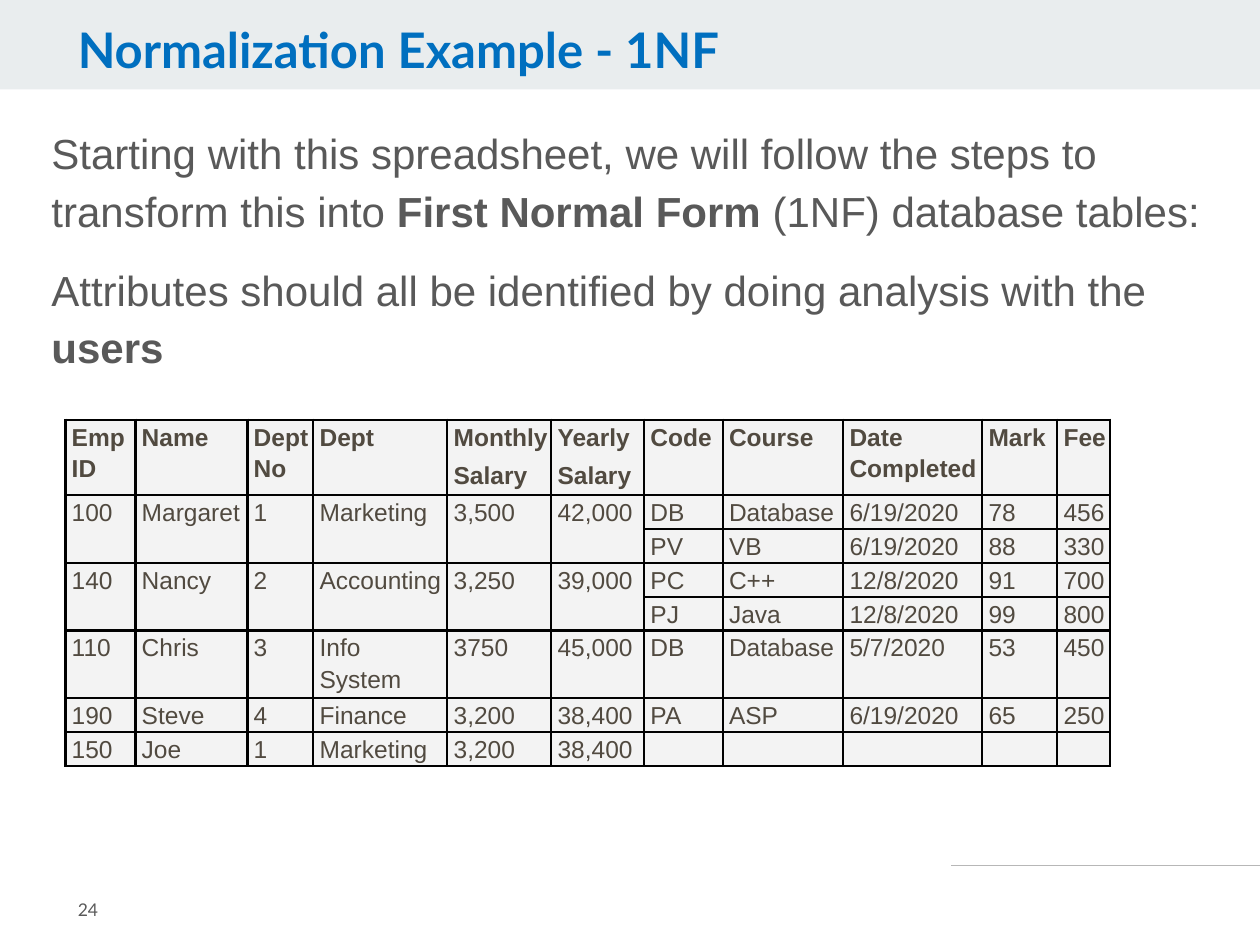
from lxml import etree
from pptx import Presentation, util as u
from pptx.dml.color import RGBColor
from pptx.enum import shapes, text
from pptx.oxml import parse_xml
from pptx.oxml.ns import nsdecls, qn

BLUE = RGBColor(0x00, 0x6F, 0xBF)
GRAY = RGBColor(0x59, 0x59, 0x59)
BROWN = RGBColor(0x51, 0x4A, 0x40)
BAND = RGBColor(0xE9, 0xED, 0xEE)
RULE = RGBColor(0xB7, 0xB7, 0xB7)
CELL = RGBColor(0xF3, 0xF3, 0xF3)

TITLE = {"name": "Lato", "size": u.Pt(28), "bold": True, "color": BLUE}
BODY = {"name": "Arial", "size": u.Pt(24), "bold": False, "color": GRAY}
NUMBER = {"name": "Lato", "size": u.Pt(10), "bold": False, "color": GRAY}
DATA = {"name": "Arial", "size": u.Pt(14), "bold": False, "color": BROWN}
STRONG = {"bold": True}

COLUMN_WIDTHS = [40, 64, 37.7, 76.6, 59.4, 53.1, 44.9, 68.9, 79.4, 42.9, 30]
ROW_HEIGHTS = [43.2, 15.1, 15.1, 15.1, 15.1, 27.4, 15.1, 15.1]
EMPLOYEES = [
    ["Emp ID", "Name", "Dept No", "Dept", "Monthly\nSalary", "Yearly\nSalary",
     "Code", "Course", "Date Completed", "Mark", "Fee"],
    ["100", "Margaret", "1", "Marketing", "3,500", "42,000",
     "DB", "Database", "6/19/2020", "78", "456"],
    [""] * 6 + ["PV", "VB", "6/19/2020", "88", "330"],
    ["140", "Nancy", "2", "Accounting", "3,250", "39,000",
     "PC", "C++", "12/8/2020", "91", "700"],
    [""] * 6 + ["PJ", "Java", "12/8/2020", "99", "800"],
    ["110", "Chris", "3", "Info System", "3750", "45,000",
     "DB", "Database", "5/7/2020", "53", "450"],
    ["190", "Steve", "4", "Finance", "3,200", "38,400",
     "PA", "ASP", "6/19/2020", "65", "250"],
    ["150", "Joe", "1", "Marketing", "3,200", "38,400"] + [""] * 5,
]
MERGED_ROWS = [1, 3]
MERGED_COLUMNS = 6


class SlideBuilder:
    def __init__(self, page):
        self.page = page

    def style(self, font, values):
        for key, value in values.items():
            if key == "color":
                font.color.rgb = value
            else:
                setattr(font, key, value)

    def fill_text(self, frame, paragraphs, values, spacing, gap=0):
        for index, spans in enumerate(paragraphs):
            para = frame.add_paragraph() if index else frame.paragraphs[0]
            para.line_spacing = spacing
            para.space_before = u.Pt(gap if index else 0)
            for words, extra in spans:
                span = para.add_run()
                span.text = words
                self.style(span.font, {**values, **extra})

    def text(self, place, paragraphs, values, spacing=1.0, gap=0,
             inset=3.6, anchor=text.MSO_ANCHOR.TOP):
        box = self.page.shapes.add_textbox(*map(u.Pt, place))
        frame = box.text_frame
        layout = {"word_wrap": True, "vertical_anchor": anchor,
                  "margin_left": u.Pt(7.2), "margin_right": u.Pt(7.2),
                  "margin_top": u.Pt(inset), "margin_bottom": u.Pt(inset)}
        for key, value in layout.items():
            setattr(frame, key, value)
        self.fill_text(frame, paragraphs, values, spacing, gap)

    def band(self, place, color):
        bar = self.page.shapes.add_shape(
            shapes.MSO_SHAPE.RECTANGLE, *map(u.Pt, place))
        bar.shadow.inherit = False
        bar.fill.solid()
        bar.fill.fore_color.rgb = color
        bar.line.fill.background()

    def line(self, ends, color, width):
        rule = self.page.shapes.add_connector(
            shapes.MSO_CONNECTOR.STRAIGHT, *map(u.Pt, ends))
        rule.line.color.rgb = color
        rule.line.width = u.Pt(width)
        etree.SubElement(rule._element.spPr, qn("a:effectLst"))

    def cell(self, cell, words, values):
        margins = {"margin_left": 3.6, "margin_right": 0,
                   "margin_top": 0, "margin_bottom": 0}
        for key, value in margins.items():
            setattr(cell, key, u.Pt(value))
        properties = cell._tc.get_or_add_tcPr()
        for side in ("lnL", "lnR", "lnT", "lnB"):
            properties.append(parse_xml(
                f'<a:{side} {nsdecls("a")} w="{u.Pt(1.5)}"><a:solidFill>'
                f'<a:srgbClr val="000000"/></a:solidFill></a:{side}>'))
        cell.fill.solid()
        cell.fill.fore_color.rgb = CELL
        if words:
            paragraphs = [[(part, {})] for part in words.split("\n")]
            self.fill_text(cell.text_frame, paragraphs, values, 1.15, 4)
        else:
            para = cell.text_frame.paragraphs[0]
            etree.SubElement(para._p, qn("a:endParaRPr"), sz="1400")

    def table(self, left, top, rows, widths, heights):
        frame = self.page.shapes.add_table(
            len(rows), len(widths), u.Pt(left), u.Pt(top),
            u.Pt(sum(widths)), u.Pt(sum(heights)))
        grid = frame.table
        grid.first_row = grid.horz_banding = False
        for column, width in zip(grid.columns, widths):
            column.width = u.Pt(width)
        for row, height in zip(grid.rows, heights):
            row.height = u.Pt(height)
        for row_index, row in enumerate(rows):
            values = DATA if row_index else {**DATA, **STRONG}
            for column_index, words in enumerate(row):
                self.cell(grid.cell(row_index, column_index), words, values)
        return grid


def main():
    deck = Presentation()
    deck.slide_width, deck.slide_height = u.Pt(720), u.Pt(540)
    builder = SlideBuilder(deck.slides.add_slide(deck.slide_layouts[6]))

    builder.line((543.6, 494.6, 720.7, 494.6), RULE, 0.75)
    builder.band((0, 0, 720, 51.1), BAND)
    builder.text((37.4, 11.5, 567.4, 39.6),
                 [[("Normalization Example - 1NF", {})]], TITLE, 0.9)
    builder.text((22.3, 64.8, 675.4, 359.3), [
        [("Starting with this spreadsheet, we will follow the steps to "
          "transform this into ", {}),
         ("First Normal Form ", STRONG),
         ("(1NF) database tables:", {})],
        [("Attributes should all be identified by doing analysis with the ", {}),
         ("users", STRONG)],
    ], BODY, 1.15, 12)
    builder.text((37.4, 499, 88.6, 41), [[("24", {})]], NUMBER,
                 inset=7.2, anchor=text.MSO_ANCHOR.MIDDLE)

    grid = builder.table(37.4, 239.8, EMPLOYEES, COLUMN_WIDTHS, ROW_HEIGHTS)
    for row in MERGED_ROWS:
        for column in range(MERGED_COLUMNS):
            grid.cell(row, column).merge(grid.cell(row + 1, column))

    deck.save("out.pptx")


if __name__ == "__main__":
    main()
